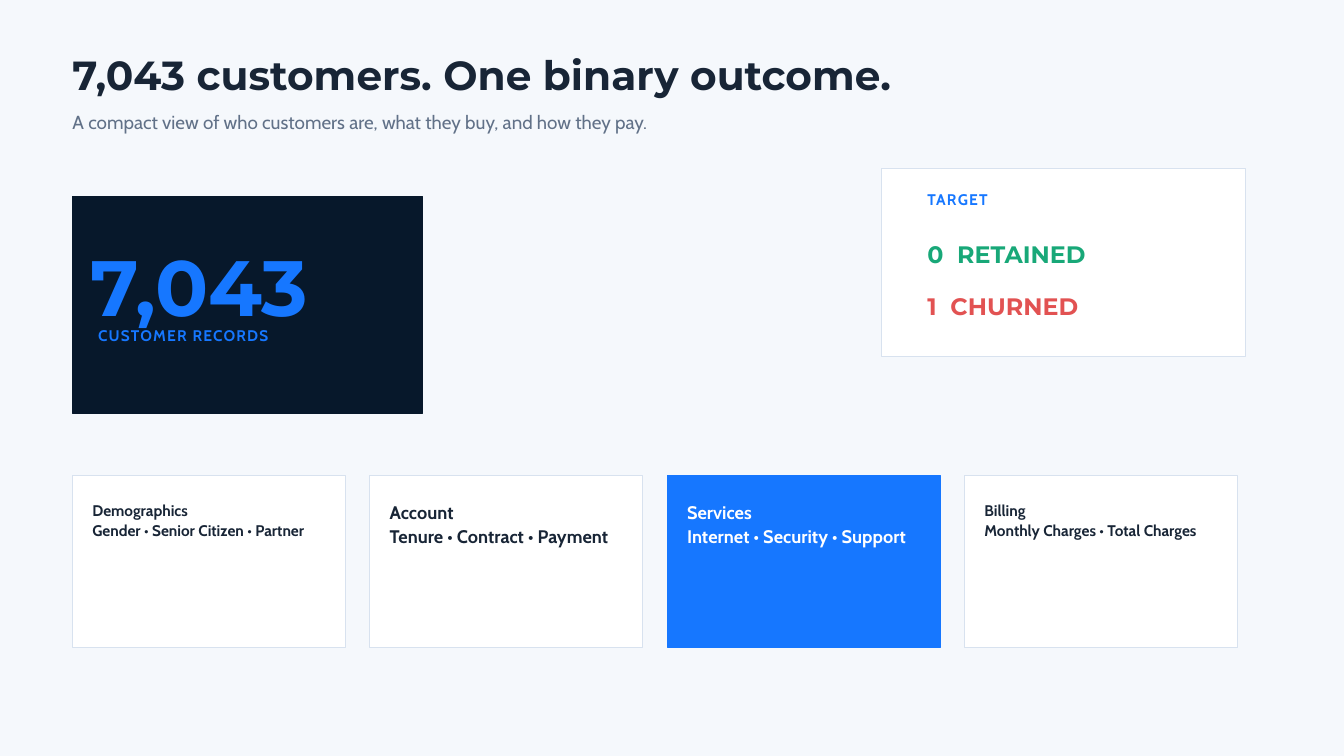
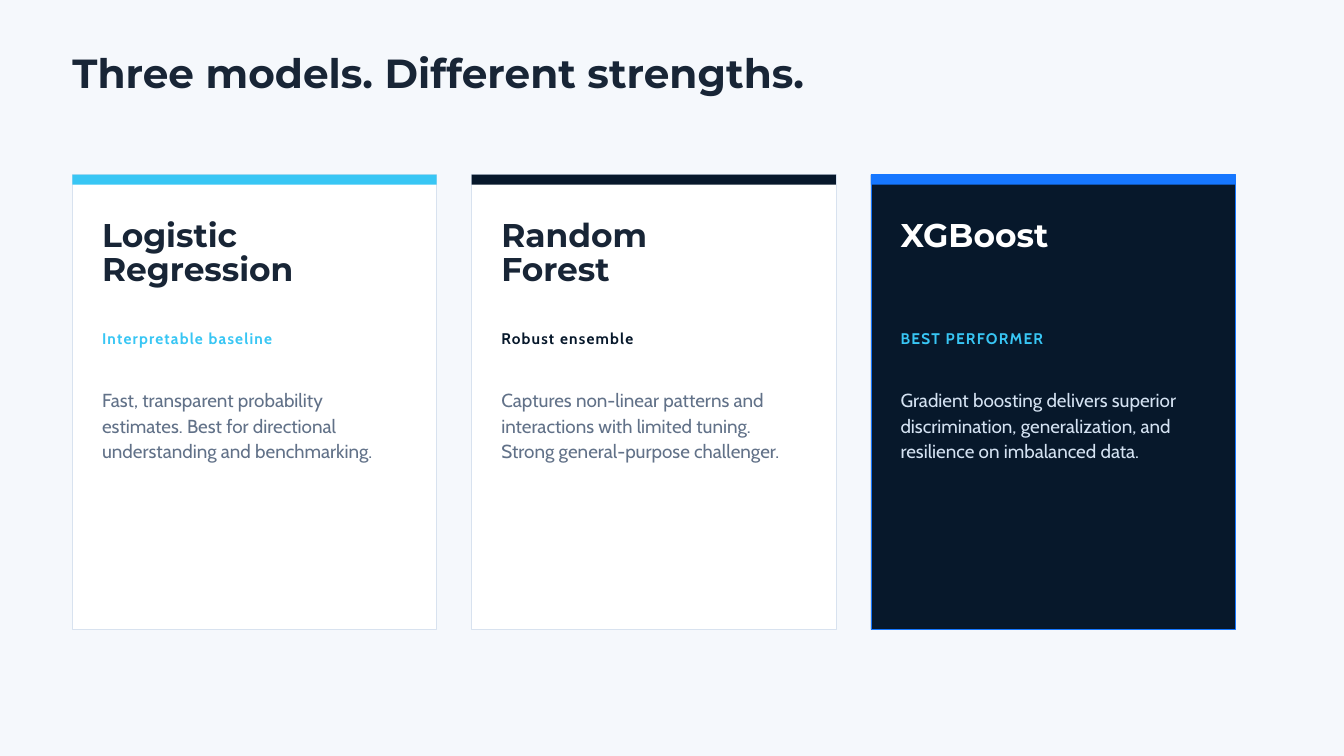
"""Build two slides on customer records and the models that score them."""
from lxml import etree
from pptx import Presentation
from pptx.dml.color import RGBColor
from pptx.enum.shapes import MSO_SHAPE
from pptx.enum.text import MSO_ANCHOR, MSO_AUTO_SIZE, PP_ALIGN
from pptx.oxml.ns import qn
from pptx.util import Cm, Pt

RECT = MSO_SHAPE.RECTANGLE
TOP = MSO_ANCHOR.TOP
GROW = MSO_AUTO_SIZE.SHAPE_TO_FIT_TEXT
LEFT = PP_ALIGN.LEFT

PAGE = "F5F8FC"
INK = "182536"
GREY = "617188"
NAVY = "07182B"
BLUE = "1677FF"
SKY = "38C6F4"
WHITE = "FFFFFF"
EDGE = "D8E2EF"
PALE = "D4E2F2"
GREEN = "18A878"
RED = "E25252"

HEAD = "Montserrat"
BODY = "Cabin"
EDGE_X = 2.74

LABEL = dict(size=16.5, lead=23.1, bold=True, track=1.3)
PROSE = dict(size=20.2, lead=27.3)

FIELDS = [
    ("Demographics", "Gender • Senior Citizen • Partner", 16.5, 21.1),
    ("Account", "Tenure • Contract • Payment", 19.5, 25),
    ("Services", "Internet • Security • Support", 19.5, 25),
    ("Billing", "Monthly Charges • Total Charges", 16.5, 21.1),
]

MODELS = [
    dict(name="Logistic\nRegression", role="Interpretable baseline", bar=SKY,
         note="Fast, transparent probability estimates. Best for directional "
              "understanding and benchmarking."),
    dict(name="Random\nForest", role="Robust ensemble", bar=NAVY,
         note="Captures non-linear patterns and interactions with limited tuning. "
              "Strong general-purpose challenger."),
    dict(name="XGBoost", role="BEST PERFORMER", bar=BLUE,
         note="Gradient boosting delivers superior discrimination, generalization, "
              "and resilience on imbalanced data.",
         fill=NAVY, edge=BLUE, ink=WHITE, tint=SKY, soft=PALE),
]


def rgb(code):
    """Turn a hex string into a colour."""
    return RGBColor.from_string(code)


def add_tab(para, stop):
    """Give a paragraph one left tab stop, in centimetres."""
    tabs = etree.SubElement(para._p.get_or_add_pPr(), qn("a:tabLst"))
    etree.SubElement(tabs, qn("a:tab"), pos=str(Cm(stop)), algn="l")


def write(shape, text, size=20, lead=27, font=BODY, color=INK, bold=False,
          track=0, tab=0):
    """Fill a shape with text, one paragraph per line."""
    frame = shape.text_frame
    frame.margin_left = frame.margin_right = 0
    frame.margin_top = frame.margin_bottom = 0
    frame.word_wrap = True
    frame.auto_size = GROW
    frame.vertical_anchor = TOP
    for i, line in enumerate(text.split("\n")):
        para = frame.add_paragraph() if i else frame.paragraphs[0]
        para.alignment = LEFT
        para.line_spacing = Pt(lead)
        if tab:
            add_tab(para, tab)
        run = para.add_run()
        run.text = line
        run.font.name = font
        run.font.size = Pt(size)
        run.font.bold = bold
        run.font.color.rgb = rgb(color)
        if track:
            run._r.get_or_add_rPr().set("spc", str(round(track * 100)))


def add_text(slide, text, x, y, w, h, **style):
    """Place a text box."""
    box = slide.shapes.add_textbox(Cm(x), Cm(y), Cm(w), Cm(h))
    write(box, text, **style)


def add_box(slide, x, y, w, h, fill=WHITE, edge=EDGE):
    """Draw a flat panel, with an edge unless it is None."""
    box = slide.shapes.add_shape(RECT, Cm(x), Cm(y), Cm(w), Cm(h))
    box.shadow.inherit = False
    box.fill.solid()
    box.fill.fore_color.rgb = rgb(fill)
    if edge:
        box.line.color.rgb = rgb(edge)
        box.line.width = Pt(0.75)
    else:
        box.line.fill.background()


def add_slide(deck, title, y):
    """Start a slide with the shared ground and title style."""
    slide = deck.slides.add_slide(deck.slide_layouts[5])
    slide.background.fill.solid()
    slide.background.fill.fore_color.rgb = rgb(PAGE)
    head = slide.shapes.title
    head.left, head.top = Cm(EDGE_X), Cm(y)
    head.width, head.height = Cm(33.07), Cm(1.68)
    write(head, title, size=43.5, lead=47, font=HEAD, bold=True)
    return slide


def add_count(slide):
    """Show the number of records on a dark panel."""
    add_box(slide, EDGE_X, 7.42, 13.23, 8.2, NAVY, NAVY)
    add_text(slide, "7,043", 3.43, 8.41, 11.13, 3.86, size=84, lead=117.6,
             font=HEAD, color=BLUE, bold=True)
    add_text(slide, "CUSTOMER RECORDS", 3.71, 12.22, 10.31, 0.76,
             color=BLUE, **LABEL)


def add_target(slide):
    """Show the two outcome classes."""
    x = 35.05
    add_box(slide, 33.32, 6.35, 13.77, 7.14)
    add_text(slide, "TARGET", x, 7.06, 7.92, 0.76, color=BLUE, **LABEL)
    rows = [("0\tRETAINED", GREEN, 1.13), ("1\tCHURNED", RED, 0.87)]
    for i, (text, color, tab) in enumerate(rows):
        add_text(slide, text, x, 8.89 + 1.96 * i, 9.53, 1.17, size=25.5,
                 lead=35.7, font=HEAD, color=color, bold=True, tab=tab)


def add_field(slide, i, name, items, size, lead):
    """Add one card of the row of data fields."""
    x, y = EDGE_X + 11.24 * i, 17.98
    lit = name == "Services"
    add_box(slide, x, y, 10.31, 6.48, BLUE if lit else WHITE,
            BLUE if lit else EDGE)
    add_text(slide, f"{name}\n{items}", x + 0.75, y + 0.93, 9.27, 1.5,
             size=size, lead=lead, color=WHITE if lit else INK, bold=True)


def add_model(slide, i, name, role, note, bar, fill=WHITE, edge=EDGE,
              ink=INK, tint=None, soft=GREY):
    """Add one model card with its top bar."""
    x, y, w = EDGE_X + 15.09 * i, 6.6, 13.77
    left, wide = x + 1.12, 11.38
    add_box(slide, x, y, w, 17.2, fill, edge)
    add_box(slide, x, y, w, 0.38, bar, None)
    add_text(slide, name, left, 8.33, wide, 2.64, size=35.2, lead=36.3,
             font=HEAD, color=ink, bold=True)
    add_text(slide, role, left, 12.34, wide, 0.76, color=tint or bar, **LABEL)
    add_text(slide, note, left, 14.6, wide, 2.82, color=soft, **PROSE)


def main():
    """Build and save the deck."""
    deck = Presentation()
    deck.slide_width, deck.slide_height = Cm(50.8), Cm(28.58)

    data = add_slide(deck, "7,043 customers. One binary outcome.", 2.06)
    add_text(data, "A compact view of who customers are, what they buy, "
             "and how they pay.", EDGE_X, 4.06, 29.11, 0.94, color=GREY, **PROSE)
    add_count(data)
    add_target(data)
    for i, field in enumerate(FIELDS):
        add_field(data, i, *field)

    models = add_slide(deck, "Three models. Different strengths.", 2.01)
    for i, model in enumerate(MODELS):
        add_model(models, i, **model)

    deck.save("out.pptx")


if __name__ == "__main__":
    main()
